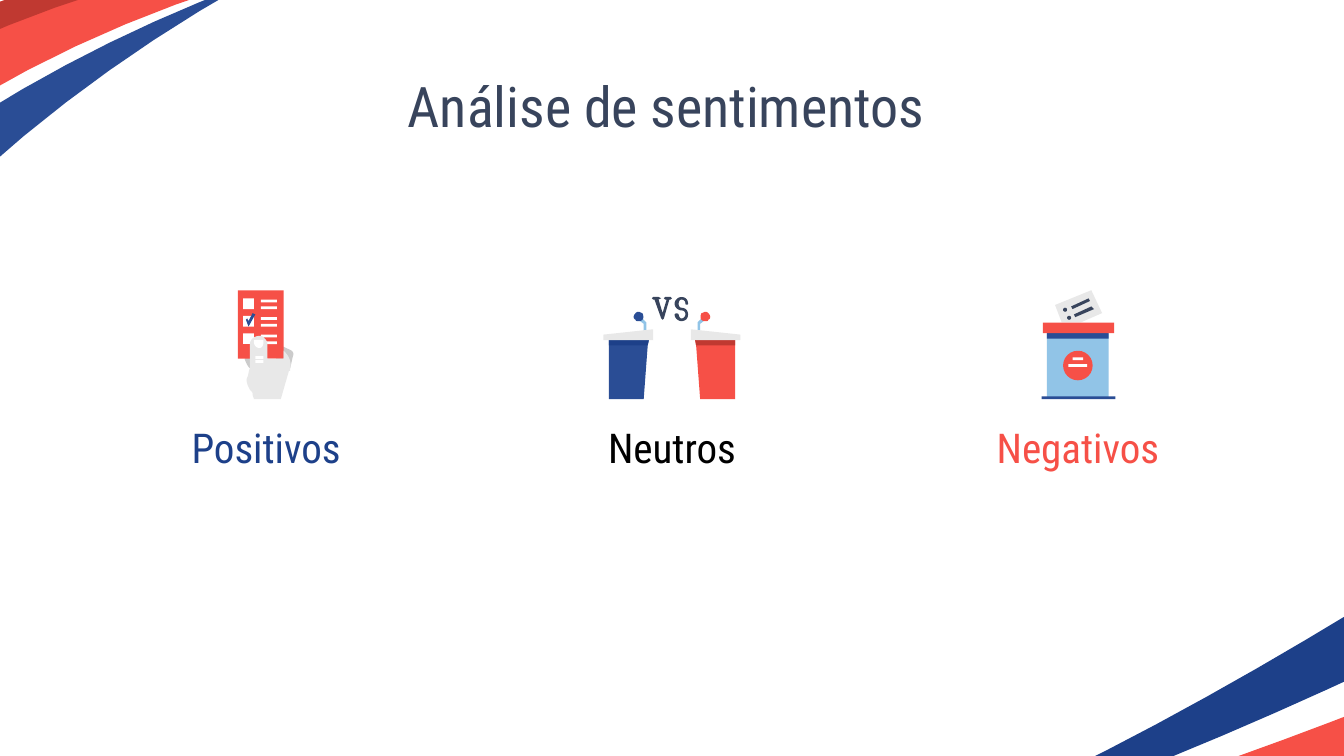
from pptx import Presentation
from pptx.dml.color import RGBColor
from pptx.enum import shapes, text
from pptx.util import Inches, Pt

FONT = "Roboto Condensed"
RED, DARK_RED = "F65047", "C03931"
BLUE, NAVY, SKY = "2A4D95", "1D4089", "91C4E7"
SLATE, GREY, SHADE, WHITE, BLACK = "38445C", "E8E8E8", "CBCBCB", "FFFFFF", "000000"
RECT, OVAL = shapes.MSO_SHAPE.RECTANGLE, shapes.MSO_SHAPE.OVAL
MIDDLE = 5

TITLE = ("Análise de sentimentos ", 30, SLATE, (0.79, 0.47, 8.43, 0.63))
LABELS = [("Positivos", NAVY), ("Neutros", BLACK), ("Negativos", RED)]
LABEL_LEFT, LABEL_STEP, LABEL_TOP, LABEL_SIZE = 0.79, 3.02, 3.13, (2.38, 0.4)

# Outlines: two numbers are a corner, six numbers are a Bezier curve.
TOP_RIBBONS = [
    (RED, [(3.64, -0.53), (2.17, -0.56, 0.69, -0.33, -0.64, 0.27),
           (-0.66, 0.58, -0.69, 0.89, -0.81, 1.15), (0.49, 0.21, 2.04, -0.32, 3.64, -0.53)]),
    (DARK_RED, [(3.64, -0.53), (2.17, -0.56, 0.69, -0.33, -0.64, 0.27),
                (-0.66, 0.58, -0.69, 0.89, -0.81, 1.15), (-0.75, 1.1, -0.69, 1.06, -0.63, 1.02),
                (-0.6, 0.85, -0.59, 0.67, -0.6, 0.49), (0.7, -0.17, 2.17, -0.48, 3.64, -0.53)]),
    (BLUE, [(1.83, -0.12), (0.45, 0.4, -0.83, 1.17, -1.84, 2.22),
            (-1.74, 2.51, -1.66, 2.8, -1.67, 3.09), (-0.82, 1.74, 0.43, 0.67, 1.83, -0.12)]),
]
BOTTOM_RIBBONS = [
    (NAVY, [(6.27, 6.46), (7.87, 5.86, 9.37, 5, 10.81, 4.09),
            (10.95, 4.23, 11.02, 4.4, 11.04, 4.58), (9.5, 5.33, 7.92, 6.03, 6.27, 6.46)]),
    (RED, [(10.87, 4.99), (9.57, 5.52, 8.25, 6, 6.89, 6.33),
           (6.54, 6.41, 6.19, 6.49, 5.84, 6.55), (10.1, 6.55),
           (10.29, 6.47, 10.46, 6.38, 10.62, 6.25), (10.99, 5.95, 11.15, 5.38, 10.87, 4.99)]),
]

FINGERS = [
    (SHADE, [(1.88, 2.63), (1.82, 2.67), (1.82, 2.67, 1.84, 2.73, 1.86, 2.74),
             (1.86, 2.71, 1.9, 2.73, 1.9, 2.71)]),
    (SHADE, [(2.11, 2.58), (2.07, 2.6), (2.05, 2.69), (2.09, 2.72, 2.13, 2.74, 2.16, 2.74),
             (2.18, 2.65), (2.19, 2.63, 2.18, 2.61, 2.15, 2.6)]),
]
CARD = (1.77, 2.16, 0.34, 0.51)
BOX_TOPS = [2.22, 2.35, 2.48]
LINE_TOPS = [2.23, 2.28, 2.36, 2.41, 2.49, 2.54]
HAND = [
    (GREY, [(1.93, 2.5), (1.89, 2.5, 1.86, 2.53, 1.86, 2.56), (1.86, 2.74),
            (1.85, 2.76, 1.85, 2.79, 1.84, 2.81), (1.83, 2.83, 1.84, 2.86, 1.85, 2.88),
            (1.86, 2.9), (1.87, 2.91, 1.88, 2.92, 1.88, 2.93), (1.88, 2.95, 1.89, 2.96, 1.89, 2.97),
            (2.09, 2.97), (2.15, 2.76), (2.16, 2.76), (2.16, 2.74),
            (2.17, 2.69, 2.15, 2.65, 2.12, 2.62), (2.11, 2.61), (2.11, 2.67), (1.99, 2.67),
            (1.99, 2.56), (1.99, 2.54, 1.98, 2.53, 1.97, 2.52), (1.96, 2.5, 1.94, 2.5, 1.93, 2.5)]),
    (WHITE, [(1.96, 2.53), (1.89, 2.53), (1.89, 2.55), (1.89, 2.57, 1.91, 2.59, 1.93, 2.59),
             (1.95, 2.59, 1.96, 2.57, 1.96, 2.55)]),
    (BLUE, [(1.88, 2.33), (1.85, 2.39), (1.84, 2.37), (1.83, 2.38), (1.85, 2.43), (1.9, 2.34)]),
]
KNUCKLE_TOPS = [2.65, 2.68]

BALLOT = [
    (GREY, [(8.12, 2.16), (7.85, 2.27), (7.9, 2.4), (8.04, 2.4), (8.2, 2.33)]),
    (SLATE, [(8.1, 2.22), (7.97, 2.28), (7.98, 2.3), (8.11, 2.24)]),
    (SLATE, [(8.12, 2.28), (7.99, 2.34), (8, 2.36), (8.14, 2.3)]),
]
URN = [
    (OVAL, SLATE, (7.91, 2.29, 0.03, 0.03)),
    (OVAL, SLATE, (7.94, 2.35, 0.03, 0.03)),
    (RECT, SKY, (7.79, 2.48, 0.46, 0.48)),
    (RECT, BLUE, (7.79, 2.45, 0.46, 0.07)),
    (OVAL, RED, (7.91, 2.61, 0.22, 0.22)),
    (RECT, WHITE, (7.98, 2.66, 0.08, 0.02)),
    (RECT, WHITE, (7.95, 2.71, 0.14, 0.02)),
    (RECT, BLUE, (7.75, 2.95, 0.55, 0.02)),
    (RECT, RED, (7.76, 2.4, 0.53, 0.08)),
]

STRAW = [(4.76, 2.36), (4.75, 2.36), (4.75, 2.38), (4.79, 2.41), (4.79, 2.48),
         (4.79, 2.49, 4.81, 2.49, 4.81, 2.48), (4.81, 2.4), (4.77, 2.36)]
STRAW_TIP = [(4.75, 2.32), (4.74, 2.32, 4.73, 2.33, 4.73, 2.33),
             (4.71, 2.35, 4.71, 2.37, 4.73, 2.38), (4.73, 2.39, 4.74, 2.39, 4.75, 2.39),
             (4.76, 2.39, 4.77, 2.39, 4.78, 2.38), (4.79, 2.37, 4.79, 2.35, 4.78, 2.33),
             (4.77, 2.33, 4.76, 2.32, 4.75, 2.32)]
CUP = [(4.53, 2.52), (4.53, 2.97), (4.79, 2.97), (4.82, 2.57), (4.83, 2.52)]
BAND = [(4.53, 2.52), (4.53, 2.57), (4.82, 2.57), (4.83, 2.52)]
LID = [(4.86, 2.45), (4.49, 2.49), (4.49, 2.53), (4.86, 2.53)]
CUP_SIDES = [(False, BLUE, NAVY), (True, RED, DARK_RED)]
VERSUS = [
    (SLATE, [(5.07, 2.21), (5.05, 2.21, 5.02, 2.23, 5.02, 2.26), (5.02, 2.29, 5.05, 2.31, 5.07, 2.31),
             (5.09, 2.31, 5.1, 2.32, 5.1, 2.34), (5.1, 2.35, 5.09, 2.37, 5.07, 2.37),
             (5.06, 2.37, 5.05, 2.35, 5.05, 2.34), (5.05, 2.33, 5.02, 2.33, 5.02, 2.34),
             (5.02, 2.37, 5.05, 2.39, 5.07, 2.39), (5.1, 2.39, 5.12, 2.37, 5.12, 2.34),
             (5.12, 2.31, 5.1, 2.29, 5.07, 2.29), (5.06, 2.29, 5.05, 2.28, 5.05, 2.26),
             (5.05, 2.24, 5.06, 2.23, 5.07, 2.23), (5.09, 2.23, 5.1, 2.24, 5.1, 2.26),
             (5.1, 2.27, 5.12, 2.27, 5.12, 2.26), (5.12, 2.23, 5.1, 2.21, 5.07, 2.21)]),
    (SLATE, [(4.86, 2.21), (4.85, 2.22), (4.86, 2.23), (4.87, 2.23), (4.92, 2.37), (4.93, 2.38),
             (4.94, 2.37), (4.98, 2.23), (4.99, 2.23), (5, 2.22), (4.99, 2.21), (4.95, 2.21),
             (4.94, 2.22), (4.95, 2.23), (4.96, 2.23), (4.93, 2.33), (4.9, 2.23), (4.92, 2.22),
             (4.9, 2.21)]),
]


def color(value):
    return RGBColor.from_string(value)


def paint(shape, fill):
    shape.fill.solid()
    shape.fill.fore_color.rgb = color(fill)
    shape.line.fill.background()
    shape.shadow.inherit = False


def trace(outline, steps=12):
    points = [outline[0]]
    for part in outline[1:]:
        if len(part) == 2:
            points.append(part)
            continue
        nodes = [points[-1], part[:2], part[2:4], part[4:]]
        for step in range(1, steps + 1):
            t = step / steps
            weights = ((1 - t) ** 3, 3 * t * (1 - t) ** 2, 3 * t * t * (1 - t), t ** 3)
            points.append(tuple(sum(w * n[axis] for w, n in zip(weights, nodes)) for axis in (0, 1)))
    return points


def add_outline(group, fill, outline, mirrored=False):
    points = [(Inches(2 * MIDDLE - x if mirrored else x), Inches(y)) for x, y in trace(outline)]
    builder = group.shapes.build_freeform(*points[0])
    builder.add_line_segments(points[1:], close=True)
    paint(builder.convert_to_shape(), fill)


def add_outlines(group, parts):
    for fill, outline in parts:
        add_outline(group, fill, outline)


def add_preset(group, kind, fill, place):
    paint(group.shapes.add_shape(kind, *map(Inches, place)), fill)


def add_label(page, words, size, fill, place):
    box = page.shapes.add_textbox(*map(Inches, place))
    frame = box.text_frame
    frame.word_wrap = True
    frame.vertical_anchor = text.MSO_ANCHOR.MIDDLE
    frame.margin_left = frame.margin_right = frame.margin_top = frame.margin_bottom = 0
    para = frame.paragraphs[0]
    para.alignment = text.PP_ALIGN.CENTER
    span = para.add_run()
    span.text = words
    span.font.name, span.font.size = FONT, Pt(size)
    span.font.color.rgb = color(fill)


deck = Presentation()
deck.slide_width, deck.slide_height = Inches(10), Inches(10 * 9 / 16)
page = deck.slides.add_slide(deck.slide_layouts[6])

for ribbons in (TOP_RIBBONS, BOTTOM_RIBBONS):
    add_outlines(page.shapes.add_group_shape(), ribbons)

for column, (words, fill) in enumerate(LABELS):
    add_label(page, words, 22, fill, (LABEL_LEFT + column * LABEL_STEP, LABEL_TOP, *LABEL_SIZE))

checklist = page.shapes.add_group_shape()
add_outlines(checklist, FINGERS)
add_preset(checklist, RECT, RED, CARD)
for top in BOX_TOPS:
    add_preset(checklist, RECT, WHITE, (1.81, top, 0.08, 0.08))
for top in LINE_TOPS:
    add_preset(checklist, RECT, WHITE, (1.94, top, 0.12, 0.02))
add_outlines(checklist, HAND)
for top in KNUCKLE_TOPS:
    add_preset(checklist, RECT, WHITE, (1.9, top, 0.06, 0.02))

ballot_box = page.shapes.add_group_shape()
add_outlines(ballot_box, BALLOT)
for kind, fill, place in URN:
    add_preset(ballot_box, kind, fill, place)

cups = page.shapes.add_group_shape()
for mirrored, fill, band_fill in CUP_SIDES:
    parts = [(SKY, STRAW), (fill, STRAW_TIP), (fill, CUP), (band_fill, BAND), (GREY, LID)]
    for part_fill, outline in parts:
        add_outline(cups, part_fill, outline, mirrored)
add_outlines(cups, VERSUS)

add_label(page, *TITLE)
deck.save("out.pptx")
